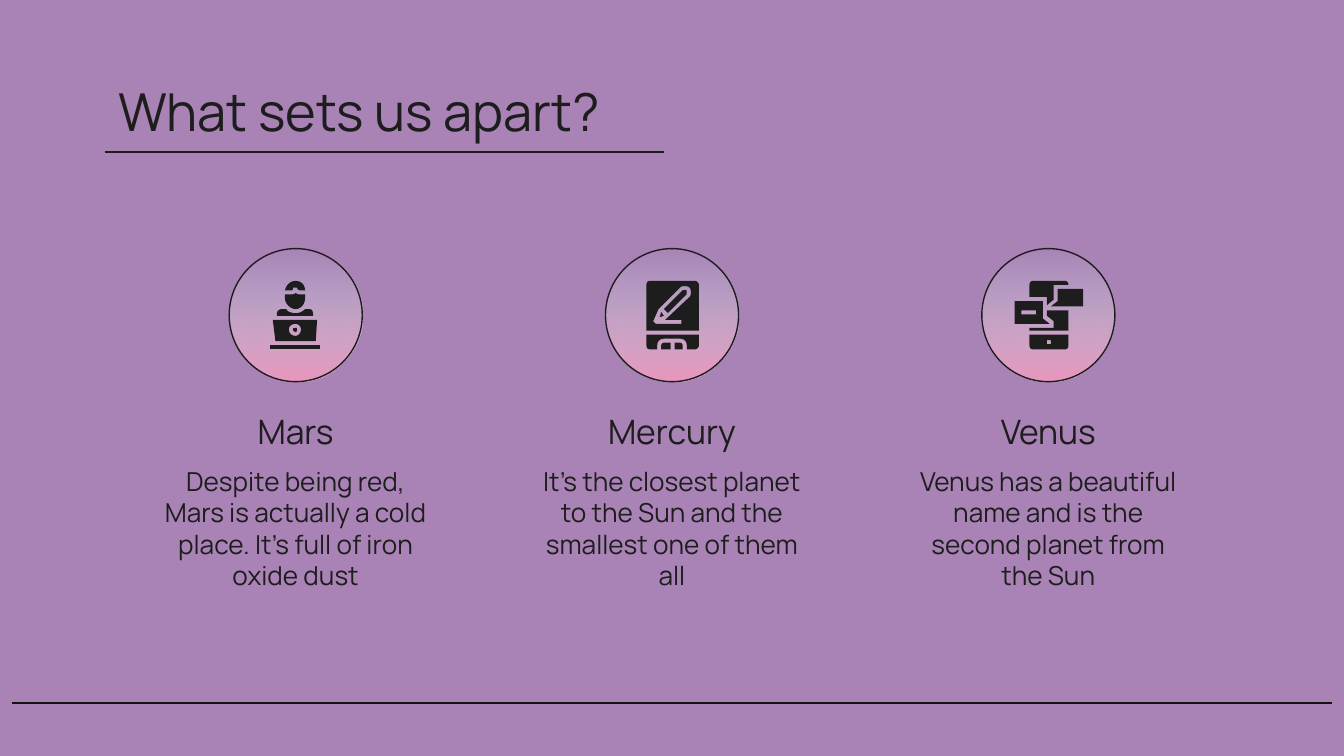
from lxml import etree
from pptx import Presentation
from pptx import util as u
from pptx.dml.color import RGBColor
from pptx.enum import shapes, text
from pptx.oxml.ns import qn

PURPLE = RGBColor(0xA9, 0x82, 0xB6)
MINT = RGBColor(0xCC, 0xE9, 0xE9)
PINK = RGBColor(0xEB, 0x97, 0xBE)
INK = RGBColor(0x1D, 0x1D, 0x1D)
BLACK = RGBColor(0x14, 0x14, 0x14)

# Grid, in inches
MIDDLE, PITCH, COLUMN_WIDTH = 5, 2.8, 2.24
MARGIN, CIRCLE, CIRCLE_TOP, ICON_TOP = 0.78, 0.99, 1.85, 2.09
FINENESS = 100  # drawing units per hundredth of an inch, so curves stay smooth

# Icons: outlines made of contours, in hundredths of an inch from the column
# centre and the icon top. Two numbers are a corner, six are a Bézier curve.
HACKER = [
    [[(0, 0), (-4, 0, -7, 3, -8, 7), (-3, 7), (-2, 7, -2, 6, -2, 5), (1, 5),
      (1, 6, 2, 7, 3, 7), (7, 7), (7, 3, 4, 0, 0, 0)]],
    [[(0, 9), (-1, 10, -2, 10, -3, 10), (-8, 10), (-8, 13), (-8, 17, -4, 21, 0, 21),
      (4, 21, 7, 17, 7, 13), (7, 10), (3, 10), (2, 10, 1, 10, 0, 9)]],
    [[(-19, 48), (-19, 51), (18, 51), (18, 48)]],
    [[(0, 35), (-1, 35, -2, 35, -2, 36), (-2, 37, -1, 38, 0, 38),
      (1, 38, 1, 37, 1, 36), (1, 35, 1, 35, 0, 35)]],
    [[(0, 32), (2, 32, 4, 34, 4, 36), (4, 39, 2, 41, 0, 41),
      (-3, 41, -5, 39, -5, 36), (-5, 34, -3, 32, 0, 32)],
     [(-17, 29), (-15, 45), (15, 45), (16, 29)]],
    [[(-10, 21), (-12, 21, -14, 22, -14, 25), (-14, 26), (13, 26), (13, 25),
      (13, 22, 12, 21, 10, 21), (7, 21), (5, 23, 3, 24, 0, 24), (-3, 24, -6, 23, -7, 21)]],
]
TABLET = [
    [[(-8, 23), (-9, 27), (-6, 26)]],
    [[(9, 4), (11, 4, 12, 4, 13, 5), (14, 6, 14, 7, 14, 9), (14, 10, 14, 11, 13, 12),
      (-4, 28), (-5, 29), (7, 29), (7, 32), (-12, 32), (-14, 30), (-10, 21), (6, 5),
      (7, 4, 8, 4, 9, 4)],
     [(-16, 0), (-18, 0, -19, 1, -19, 3), (-19, 37), (20, 37), (20, 3),
      (20, 1, 18, 0, 17, 0)]],
    [[(9, 7), (9, 7, 8, 7, 8, 7), (-6, 21), (-3, 24), (11, 10), (11, 9, 11, 9, 11, 9),
      (11, 8, 11, 8, 11, 7), (10, 7, 10, 7, 9, 7)]],
    [[(2, 46), (2, 51), (8, 51), (8, 48), (8, 47, 7, 46, 6, 46)]],
    [[(-19, 40), (-19, 48), (-19, 50, -18, 51, -16, 51), (-11, 51), (-11, 48),
      (-11, 45, -9, 43, -6, 43), (6, 43), (9, 43, 11, 45, 11, 48), (11, 51), (17, 51),
      (18, 51, 20, 50, 20, 48), (20, 40)]],
    [[(-6, 46), (-7, 46, -8, 47, -8, 48), (-8, 51), (-1, 51), (-1, 46)]],
]
PHONE = [
    [[(2, 44), (2, 47), (-1, 47), (-1, 44)],
     [(-14, 40), (-14, 48), (-14, 50, -13, 51, -11, 51), (12, 51),
      (14, 51, 15, 50, 15, 48), (15, 40)]],
    [[(7, 6), (7, 15), (2, 19), (26, 19), (26, 6)]],
    [[(-9, 22), (-9, 25), (-20, 25), (-20, 22)],
     [(-25, 15), (-25, 32), (1, 32), (-4, 28), (-4, 15)]],
    [[(-1, 22), (-1, 26), (4, 30), (4, 35), (-14, 35), (-14, 37), (15, 37), (15, 22)]],
    [[(-11, 0), (-13, 0, -14, 1, -14, 3), (-14, 12), (-1, 12), (-1, 18), (4, 14), (4, 3),
      (15, 3), (15, 1, 14, 0, 12, 0)]],
]
PLANETS = [
    ("Mars", "Despite being red, Mars is actually a cold place. It’s full of iron oxide dust", HACKER),
    ("Mercury", "It’s the closest planet to the Sun and the smallest one of them all", TABLET),
    ("Venus", "Venus has a beautiful name and is the second planet from the Sun", PHONE),
]


def add_text(left, top, width, height, words, size, align):
    box = page.shapes.add_textbox(*map(u.Inches, (left, top, width, height)))
    frame = box.text_frame
    frame.word_wrap = True
    frame.vertical_anchor = text.MSO_ANCHOR.MIDDLE
    frame.margin_left = frame.margin_right = u.Inches(0.1)
    frame.margin_top = frame.margin_bottom = u.Inches(0.1)
    para = frame.paragraphs[0]
    para.text = words
    para.alignment = align
    para.font.name, para.font.size = "Manrope", u.Pt(size)
    para.font.color.rgb = INK


def flatten(contour, steps=6):
    """Turn a contour's curves into short straight steps, in drawing units."""
    points = [contour[0]]
    for part in contour[1:]:
        if len(part) == 2:
            points.append(part)
            continue
        controls = [points[-1], part[:2], part[2:4], part[4:]]
        for step in range(1, steps + 1):
            t = step / steps
            weights = ((1 - t) ** 3, 3 * t * (1 - t) ** 2, 3 * t * t * (1 - t), t ** 3)
            points.append(tuple(sum(w * point[axis] for w, point in zip(weights, controls))
                                for axis in (0, 1)))
    return [(x * FINENESS, y * FINENESS) for x, y in points]


deck = Presentation()
deck.slide_width, deck.slide_height = u.Inches(10), u.Inches(10 * 9 / 16)
page = deck.slides.add_slide(deck.slide_layouts[6])
page.background.fill.solid()
page.background.fill.fore_color.rgb = PURPLE

# Footer rule and title rule
for left, right, height, color in ((0.09, 9.91, 5.23, BLACK), (MARGIN, 4.94, 1.13, INK)):
    rule = page.shapes.add_connector(shapes.MSO_CONNECTOR.STRAIGHT,
                                     *map(u.Inches, (left, height, right, height)))
    rule.line.color.rgb = color
    rule.line.width = u.Pt(0.75)
    etree.SubElement(rule._element.spPr, qn("a:effectLst"))

# Title
add_text(MARGIN, 0.51, 8.45, 0.63, "What sets us apart?", 28, text.PP_ALIGN.LEFT)

# One column per planet
for column, (name, fact, icon) in enumerate(PLANETS):
    center = MIDDLE + (column - 1) * PITCH
    left = center - COLUMN_WIDTH / 2
    add_text(left, 3.02, COLUMN_WIDTH, 0.37, name, 18, text.PP_ALIGN.CENTER)
    add_text(left, 3.41, COLUMN_WIDTH, 1.04, fact, 14, text.PP_ALIGN.CENTER)

    # Circle fading from clear mint to pink
    circle = page.shapes.add_shape(
        shapes.MSO_SHAPE.OVAL,
        *map(u.Inches, (center - CIRCLE / 2, CIRCLE_TOP, CIRCLE, CIRCLE)))
    circle.shadow.inherit = False
    circle.line.color.rgb = INK
    circle.line.width = u.Pt(0.75)
    circle.fill.gradient()
    circle.fill.gradient_angle = 270
    for stop, position, color in zip(circle.fill.gradient_stops, (0, 1), (MINT, PINK)):
        stop.position, stop.color.rgb = position, color
    clear = circle._element.spPr.find(".//" + qn("a:srgbClr"))
    etree.SubElement(clear, qn("a:alpha"), val="0")

    # Icon
    for outline in icon:
        contours = [flatten(contour) for contour in outline]
        builder = page.shapes.build_freeform(*contours[0][0], scale=u.Inches(0.01) / FINENESS)
        for number, points in enumerate(contours):
            if number:
                builder.move_to(*points[0])
            builder.add_line_segments(points[1:], close=True)
        piece = builder.convert_to_shape(u.Inches(center), u.Inches(ICON_TOP))
        piece.shadow.inherit = False
        piece.fill.solid()
        piece.fill.fore_color.rgb = INK
        piece.line.fill.background()

deck.save("out.pptx")
